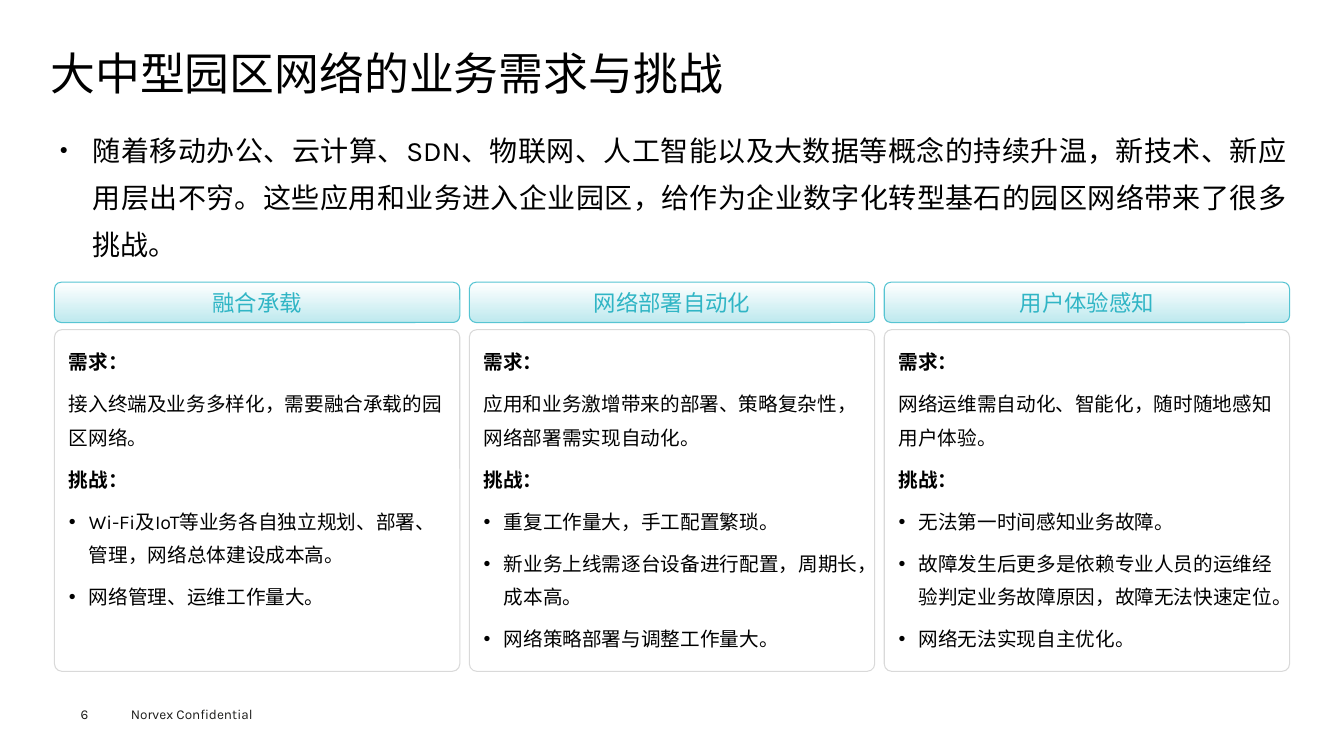
from lxml.etree import SubElement
from pptx import Presentation
from pptx.dml.color import RGBColor
from pptx.enum.shapes import MSO_SHAPE as Shape
from pptx.enum.text import MSO_ANCHOR as Anchor, PP_ALIGN as Align
from pptx.oxml.ns import qn
from pptx.util import Inches, Pt

FONT = "Karla"
BLACK = "000000"
FOOTER_GREY = "1D1D1B"
CARD_LINE = "D9D9D9"
TAB_LINE = "56C4D2"
TAB_TEXT = "30B5C5"
TAB_GRADIENT = ("FFFFFF", "BEE9EE")

# Column grid
FIRST_LEFT, LAST_LEFT = 0.54, 8.77
COLUMN_WIDTH = 4.02
TAB_TOP, TAB_HEIGHT = 2.8, 0.4
CARD_TOP, CARD_HEIGHT = 3.27, 3.39

TITLE = "大中型园区网络的业务需求与挑战"
INTRO = ("随着移动办公、云计算、SDN、物联网、人工智能以及大数据等概念的持续升温，"
         "新技术、新应用层出不穷。这些应用和业务进入企业园区，"
         "给作为企业数字化转型基石的园区网络带来了很多挑战。")

# Heading, need, challenges
TOPICS = [
    ("融合承载", "接入终端及业务多样化，需要融合承载的园区网络。",
     ["Wi-Fi及IoT等业务各自独立规划、部署、管理，网络总体建设成本高。",
      "网络管理、运维工作量大。"]),
    ("网络部署自动化", "应用和业务激增带来的部署、策略复杂性，网络部署需实现自动化。",
     ["重复工作量大，手工配置繁琐。",
      "新业务上线需逐台设备进行配置，周期长，成本高。",
      "网络策略部署与调整工作量大。"]),
    ("用户体验感知", "网络运维需自动化、智能化，随时随地感知用户体验。",
     ["无法第一时间感知业务故障。",
      "故障发生后更多是依赖专业人员的运维经验判定业务故障原因，故障无法快速定位。",
      "网络无法实现自主优化。"]),
]


def rgb(hex_color):
    return RGBColor.from_string(hex_color)


def set_frame(frame, inset_x, inset_y, anchor=Anchor.TOP):
    frame.word_wrap = True
    frame.margin_left = frame.margin_right = Inches(inset_x)
    frame.margin_top = frame.margin_bottom = Inches(inset_y)
    frame.vertical_anchor = anchor


def write(paragraph, text, size, color=BLACK, bold=False, align=Align.LEFT):
    paragraph.text = text
    paragraph.alignment = align
    for run in paragraph.runs:
        run.font.name = FONT
        run.font.size = Pt(size)
        run.font.bold = bold
        run.font.color.rgb = rgb(color)


def add_bullet(paragraph, indent, char="•", percent=100):
    properties = paragraph._p.get_or_add_pPr()
    properties.set("marL", str(Inches(indent)))
    properties.set("indent", str(-Inches(indent)))
    SubElement(properties, qn("a:buSzPct")).set("val", str(percent * 1000))
    SubElement(properties, qn("a:buFont")).set("typeface", "Arial")
    SubElement(properties, qn("a:buChar")).set("char", char)


def add_text(slide, box, text, size, color=BLACK, inset=(0, 0),
             anchor=Anchor.TOP, align=Align.LEFT):
    frame = slide.shapes.add_textbox(*map(Inches, box)).text_frame
    set_frame(frame, *inset, anchor)
    paragraph = frame.paragraphs[0]
    write(paragraph, text, size, color, align=align)
    return paragraph


def add_rounded(slide, left, top, height, line_color):
    rounded = slide.shapes.add_shape(
        Shape.ROUNDED_RECTANGLE, Inches(left), Inches(top),
        Inches(COLUMN_WIDTH), Inches(height))
    rounded.shadow.inherit = False
    rounded.line.color.rgb = rgb(line_color)
    rounded.line.width = Pt(0.75)
    return rounded


def add_tab(slide, left, heading):
    tab = add_rounded(slide, left, TAB_TOP, TAB_HEIGHT, TAB_LINE)
    tab.fill.gradient()
    tab.fill.gradient_angle = 270
    for stop, color in zip(tab.fill.gradient_stops, TAB_GRADIENT):
        stop.color.rgb = rgb(color)
    set_frame(tab.text_frame, 0.1, 0.05, Anchor.MIDDLE)
    write(tab.text_frame.paragraphs[0], heading, 16, TAB_TEXT, align=Align.CENTER)


def add_card(slide, left, need, challenges):
    card = add_rounded(slide, left, CARD_TOP, CARD_HEIGHT, CARD_LINE)
    card.adjustments[0] = 0.022
    card.fill.background()
    frame = card.text_frame
    set_frame(frame, 0.12, 0.08)
    # Text, bold, bulleted
    lines = [("需求：", True, False), (need, False, False), ("挑战：", True, False)]
    lines += [(challenge, False, True) for challenge in challenges]
    for index, (text, bold, bulleted) in enumerate(lines):
        paragraph = frame.add_paragraph() if index else frame.paragraphs[0]
        if bulleted:
            add_bullet(paragraph, 0.2)
        write(paragraph, text, 14, bold=bold)
        paragraph.line_spacing = Pt(24)
        paragraph.space_after = Pt(6)


def main():
    prs = Presentation()
    prs.slide_width, prs.slide_height = Inches(13.33), Inches(7.5)
    slide = prs.slides.add_slide(prs.slide_layouts[6])

    # Footer
    add_text(slide, (1.2, 6.95, 1.6, 0.27), "Norvex Confidential", 9.7,
             FOOTER_GREY, inset=(0.1, 0.05))
    add_text(slide, (0.8, 7, 0.55, 0.16), "6", 9.7, FOOTER_GREY)

    # Title and introduction
    title = add_text(slide, (0.5, 0.49, 12.35, 0.53), TITLE, 32,
                     anchor=Anchor.MIDDLE)
    title.line_spacing = 0.9
    intro = add_text(slide, (0.5, 1.15, 12.35, 1.11), INTRO, 20,
                     inset=(0.09, 0.04), align=Align.JUSTIFY)
    add_bullet(intro, 0.33, "●", 50)
    intro.line_spacing = 1.4

    # Three columns of needs and challenges
    pitch = (LAST_LEFT - FIRST_LEFT) / (len(TOPICS) - 1)
    for column, (heading, need, challenges) in enumerate(TOPICS):
        left = FIRST_LEFT + column * pitch
        add_tab(slide, left, heading)
        add_card(slide, left, need, challenges)

    prs.save("out.pptx")


if __name__ == "__main__":
    main()
